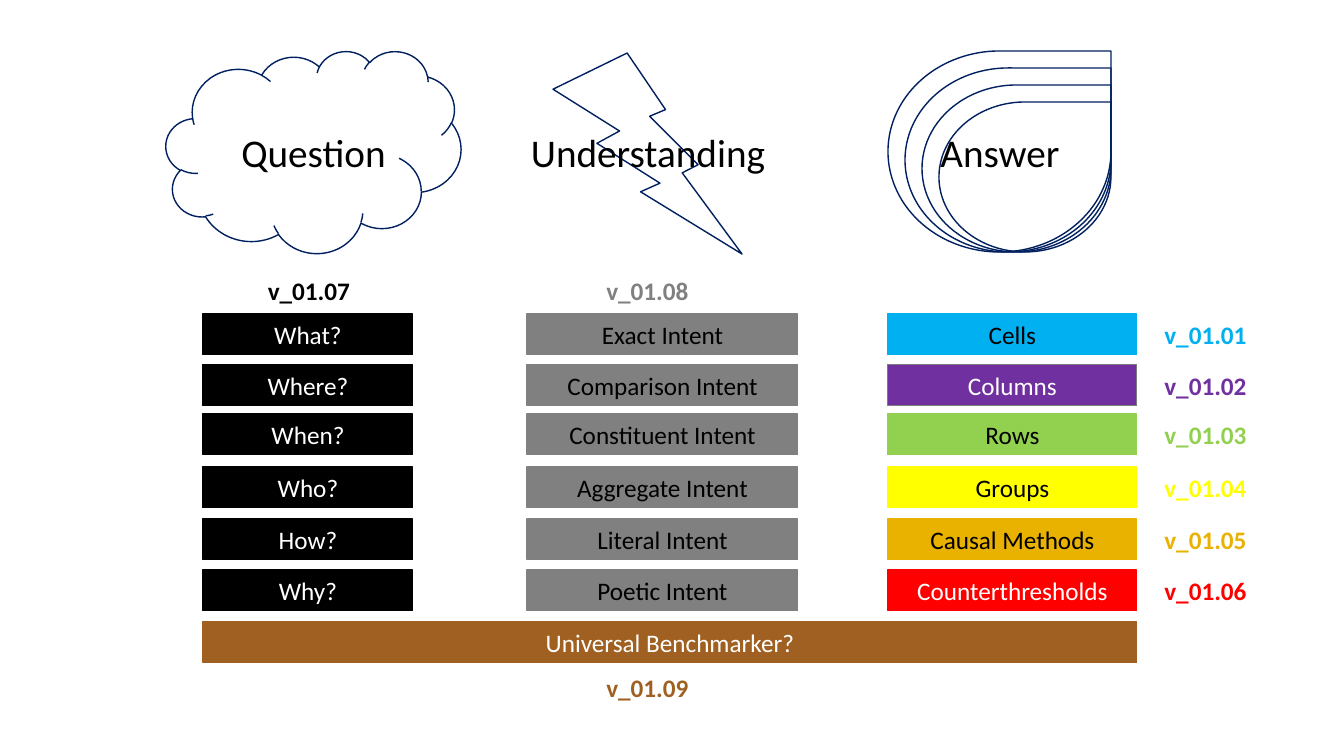
from pptx import Presentation
from pptx import util as u
from pptx.dml import color
from pptx.enum import shapes, text

SCALE = 914400 / 100.8  # EMU per pixel

THEME = {
    "font": "Calibri", "heading": 28, "body": 18,
    "black": "000000", "white": "FFFFFF", "navy": "002060",
    "gray": "808080", "border": "7C7C7C", "brown": "9F6021",
    "blue": "00B0F0", "purple": "7030A0", "green": "92D050",
    "yellow": "FFFF00", "gold": "EAB200", "red": "FF0000",
}

presentation = Presentation()
presentation.slide_width = u.Emu(round(1344 * SCALE))
presentation.slide_height = u.Emu(round(756 * SCALE))
slide = presentation.slides.add_slide(presentation.slide_layouts[6])


def add_shape(kind, box, fill, line, points):
    lengths = [u.Emu(round(value * SCALE)) for value in box]
    shape = slide.shapes.add_shape(kind, *lengths)
    shape.shadow.inherit = False
    if fill:
        shape.fill.solid()
        shape.fill.fore_color.rgb = color.RGBColor.from_string(THEME[fill])
    else:
        shape.fill.background()
    shape.line.color.rgb = color.RGBColor.from_string(THEME[line])
    shape.line.width = u.Pt(points)
    return shape


def add_label(words, ink, box=None, shape=None, size="body", bold=False,
              anchor=text.MSO_ANCHOR.TOP):
    if shape is None:
        shape = slide.shapes.add_textbox(*[u.Emu(round(value * SCALE)) for value in box])
    frame = shape.text_frame
    frame_format = {"word_wrap": True, "vertical_anchor": anchor,
                    "auto_size": text.MSO_AUTO_SIZE.SHAPE_TO_FIT_TEXT}
    for name, value in frame_format.items():
        setattr(frame, name, value)
    paragraph = frame.paragraphs[0]
    paragraph.alignment = text.PP_ALIGN.CENTER
    run = paragraph.add_run()
    run.text = words
    font_format = {"name": THEME["font"], "size": u.Pt(THEME[size]), "bold": bold}
    for name, value in font_format.items():
        setattr(run.font, name, value)
    run.font.color.rgb = color.RGBColor.from_string(THEME[ink])


# Icons
preset = shapes.MSO_SHAPE
add_shape(preset.CLOUD, (166, 51, 295, 202), "white", "navy", 1)
add_shape(preset.LIGHTNING_BOLT, (553, 53, 189, 201), "white", "navy", 1)
for layer in range(4):
    inset = 17 * layer
    add_shape(preset.TEAR, (888 + inset, 51 + inset, 223 - inset, 201 - inset),
              None, "navy", 1)

# Headings
for words, left, width in [("Question", 166, 295), ("Understanding", 517, 262),
                           ("Answer", 869, 262)]:
    add_label(words, "black", (left, 123, width, 57), size="heading",
              anchor=text.MSO_ANCHOR.MIDDLE)

# Question, intent and answer bars, with the answer versions
BAR_HEIGHT = 41
row_tops = [314, 365, 414, 467, 519, 570]
questions = ["What?", "Where?", "When?", "Who?", "How?", "Why?"]
intents = ["Exact", "Comparison", "Constituent", "Aggregate", "Literal", "Poetic"]
answers = [
    ("Cells", "blue", "black", "blue"),
    ("Columns", "purple", "white", "border"),
    ("Rows", "green", "black", "green"),
    ("Groups", "yellow", "black", "yellow"),
    ("Causal Methods", "gold", "black", "gold"),
    ("Counterthresholds", "red", "white", "red"),
]
bars = []
rows = zip(row_tops, questions, intents, answers)
for number, (top, question, intent, (answer, fill, ink, line)) in enumerate(rows, 1):
    bars += [
        (question, 203, top, 210, "black", "white", "black"),
        (f"{intent} Intent", 527, top, 271, "gray", "black", "gray"),
        (answer, 888, top, 249, fill, ink, line),
    ]
    add_label(f"v_01.{number:02}", fill, (1137, top, 137, BAR_HEIGHT), bold=True)
bars.append(("Universal Benchmarker?", 203, 622, 934, "brown", "white", "brown"))

for words, left, top, width, fill, ink, line in bars:
    bar = add_shape(preset.RECTANGLE, (left, top, width, BAR_HEIGHT), fill, line, 0.75)
    add_label(words, ink, shape=bar)

# Column and benchmark versions
for words, ink, left, top, width in [("v_01.07", "black", 253, 270, 112),
                                     ("v_01.08", "gray", 595, 270, 105),
                                     ("v_01.09", "brown", 595, 667, 105)]:
    add_label(words, ink, (left, top, width, BAR_HEIGHT), bold=True)

presentation.save("out.pptx")
